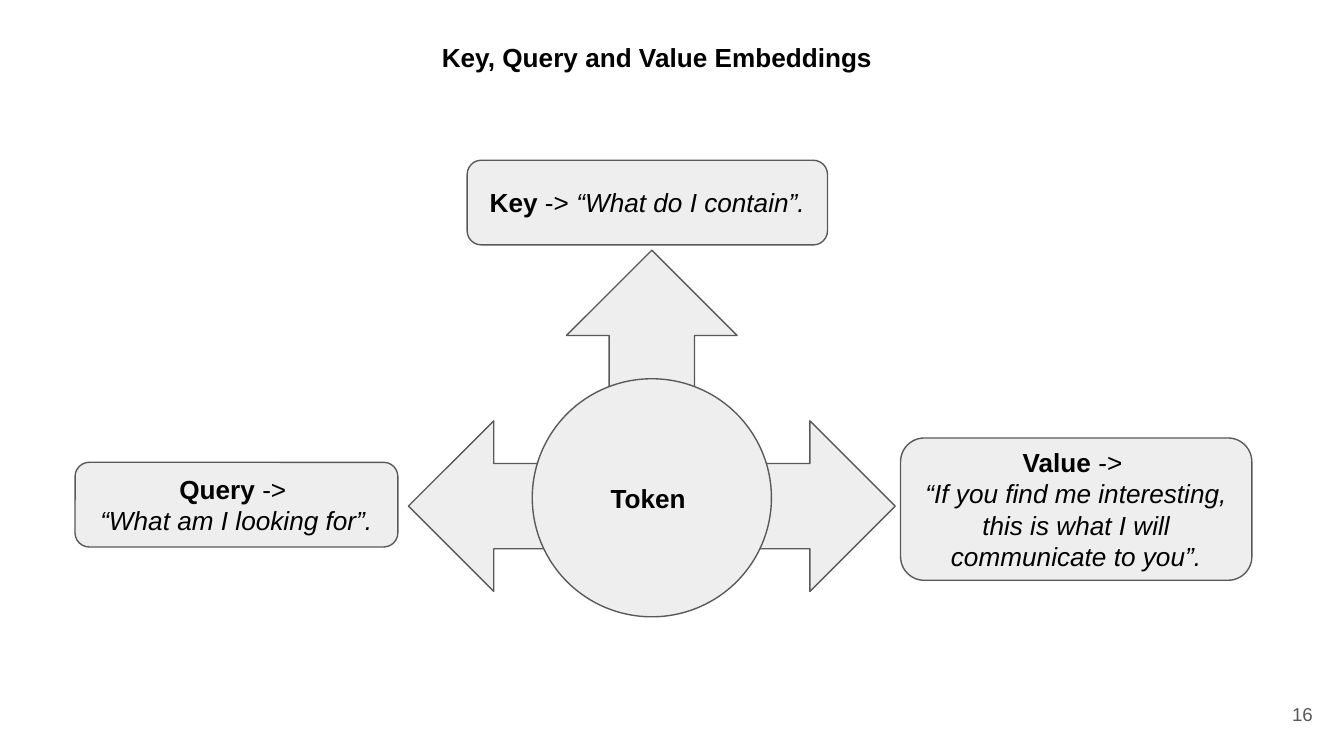
from pptx import Presentation
from pptx.dml.color import RGBColor
from pptx.enum.shapes import MSO_SHAPE
from pptx.enum.text import MSO_ANCHOR, PP_ALIGN
from pptx.util import Cm, Pt

COLOURS = {"text": "000000", "muted": "595959", "fill": "EEEEEE", "line": "595959"}


def colour(name):
    return RGBColor.from_string(COLOURS[name])


class DiagramSlide:
    """Holds the style and the current slide."""

    font_name = "Arial"
    inset = Cm(0.25)

    def __init__(self, slide):
        self.slide = slide

    def set_text(self, shape, paragraphs, size=14, ink="text",
                 align=PP_ALIGN.CENTER, anchor=MSO_ANCHOR.MIDDLE):
        """Fill a shape with paragraphs, each a list of (text, style) runs."""
        frame = shape.text_frame
        frame.word_wrap = True
        frame.vertical_anchor = anchor
        frame.margin_left = frame.margin_right = self.inset
        frame.margin_top = frame.margin_bottom = self.inset
        for index, runs in enumerate(paragraphs):
            paragraph = frame.add_paragraph() if index else frame.paragraphs[0]
            paragraph.alignment = align
            paragraph.font.name = self.font_name
            paragraph.font.size = Pt(size)
            paragraph.font.color.rgb = colour(ink)
            for text, style in runs:
                run = paragraph.add_run()
                run.text = text
                if style == "bold":
                    run.font.bold = True
                elif style == "italic":
                    run.font.italic = True

    def text(self, box, text, style="plain", **options):
        shape = self.slide.shapes.add_textbox(*map(Cm, box))
        self.set_text(shape, [[(text, style)]], **options)

    def shape(self, kind, box, paragraphs=()):
        shape = self.slide.shapes.add_shape(kind, *map(Cm, box))
        shape.shadow.inherit = False
        shape.fill.solid()
        shape.fill.fore_color.rgb = colour("fill")
        shape.line.color.rgb = colour("line")
        shape.line.width = Pt(0.75)
        self.set_text(shape, paragraphs)
        return shape

    def embedding(self, box, name, meaning, one_line=False):
        """Rounded box with a bold name and the question it answers."""
        heading = [(name, "bold"), (" -> ", "plain")]
        quote = [(meaning, "italic")]
        paragraphs = [heading + quote] if one_line else [heading, quote]
        self.shape(MSO_SHAPE.ROUNDED_RECTANGLE, box, paragraphs)


def main():
    presentation = Presentation()
    presentation.slide_width = Cm(25.4)
    presentation.slide_height = Cm(14.29)
    diagram = DiagramSlide(presentation.slides.add_slide(presentation.slide_layouts[6]))

    # Title
    diagram.text((8.1, 0.53, 9.2, 1.17), "Key, Query and Value Embeddings", "bold",
                 align=PP_ALIGN.LEFT, anchor=MSO_ANCHOR.TOP)

    # Three-way arrow with the token at its centre
    arrow = diagram.shape(MSO_SHAPE.LEFT_RIGHT_UP_ARROW, (7.72, 4.73, 9.2, 6.45))
    for index in range(3):
        arrow.adjustments[index] = 0.25
    diagram.shape(MSO_SHAPE.OVAL, (10.06, 7.16, 4.52, 4.5), [[("Token ", "bold")]])

    # The embeddings around the token
    diagram.embedding((8.83, 3.03, 6.81, 1.6), "Key", "“What do I contain”.", one_line=True)
    diagram.embedding((1.42, 8.74, 6.1, 1.6), "Query", "“What am I looking for”.")
    diagram.embedding((17.02, 8.28, 6.64, 2.69), "Value",
                      "“If you find me interesting, this is what I will communicate to you”.")

    # Slide number
    diagram.text((23.54, 12.95, 1.52, 1.09), "16", size=10, ink="muted", align=PP_ALIGN.RIGHT)

    presentation.save("out.pptx")


if __name__ == "__main__":
    main()
